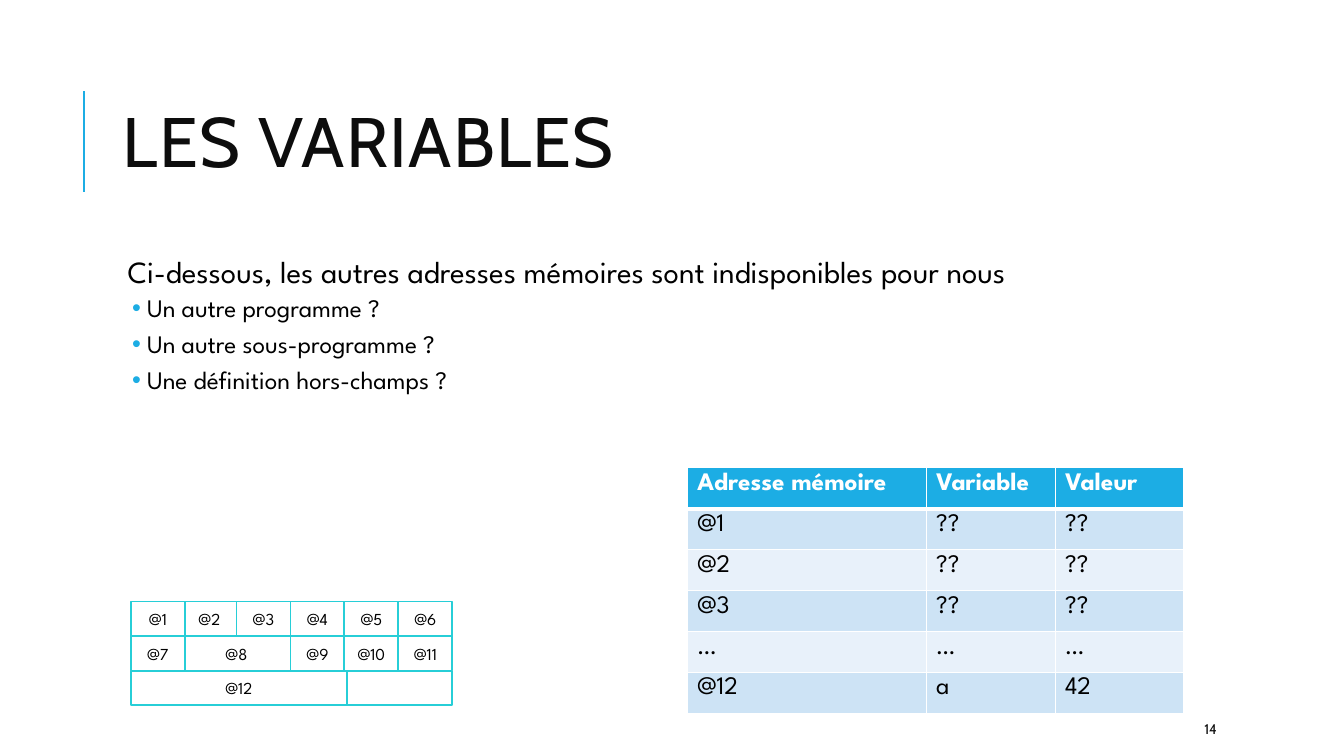
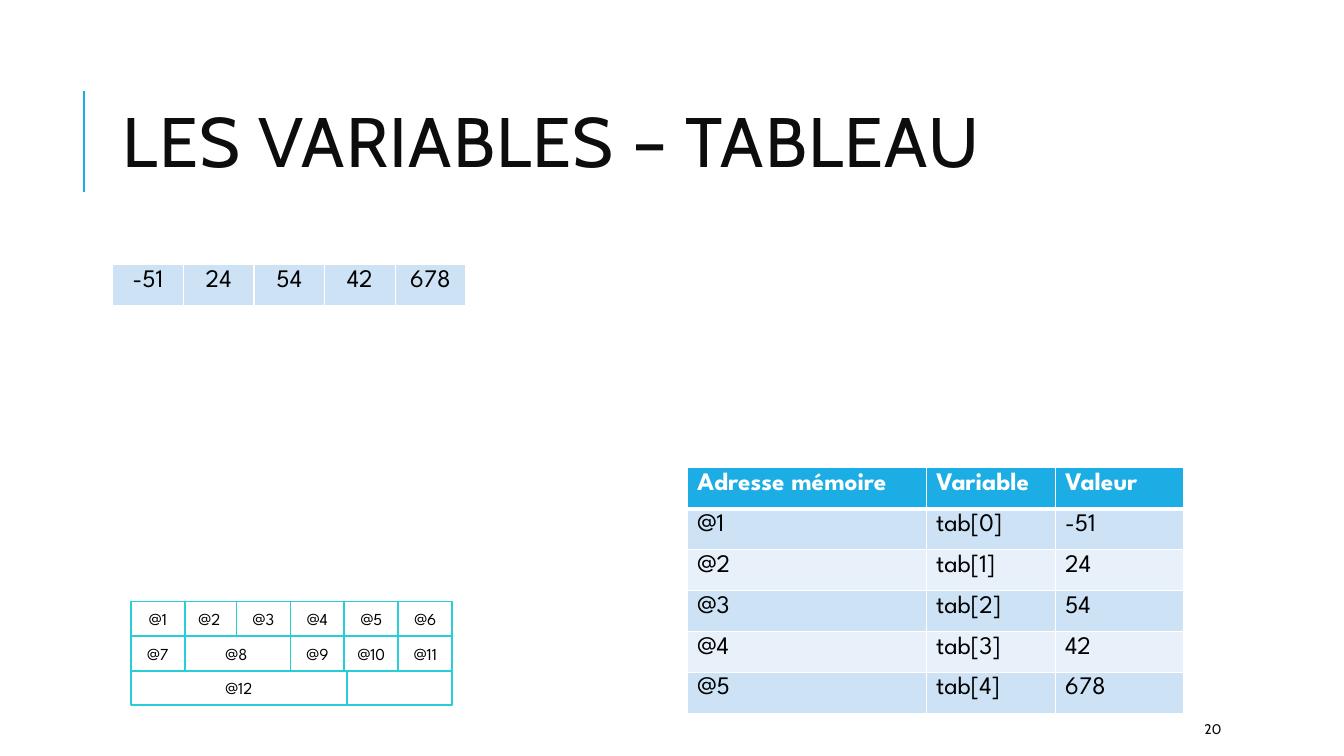
import pptx
import pptx.util
import pptx.dml.color
import pptx.enum.shapes
import pptx.enum.text
import pptx.oxml
import pptx.oxml.ns

Cm = pptx.util.Cm
Pt = pptx.util.Pt
ALIGN = pptx.enum.text.PP_ALIGN
ANCHOR = pptx.enum.text.MSO_ANCHOR

COLORS = {
    "accent": "1CADE4",
    "memory": "27CED7",
    "title": "0D0D0D",
    "text": "000000",
    "white": "FFFFFF",
    "band_dark": "CDE3F5",
    "band_light": "E8F1FA",
}
TITLE_FONT = "Cabin"
BODY_FONT = "League Spartan"

MEMORY_LEFT = 3.3
MEMORY_COLUMNS_LEFT = 3.24
MEMORY_TOP = 15.16
MEMORY_WIDTH = 1.36
MEMORY_HEIGHT = 0.87
MEMORY_ROWS = [
    [("@1", 1), ("@2", 1), ("@3", 1), ("@4", 1), ("@5", 1), ("@6", 1)],
    [("@7", 1), ("@8", 2), ("@9", 1), ("@10", 1), ("@11", 1)],
    [("@12", 4), ("", 2)],
]

ROW_HEIGHT = 1.03
ADDRESS_HEADER = ["Adresse mémoire", "Variable", "Valeur"]
ARRAY_VALUES = ["-51", "24", "54", "42", "678"]


def rgb(color):
    return pptx.dml.color.RGBColor.from_string(COLORS[color])


def add_run(paragraph, text, size, color="text", font=BODY_FONT, bold=False):
    run = paragraph.add_run()
    run.text = text
    run.font.size = Pt(size)
    run.font.name = font
    run.font.bold = bold
    run.font.color.rgb = rgb(color)
    return run


def add_xml(parent, tag, **attributes):
    child = pptx.oxml.parse_xml(f"<a:{tag} {pptx.oxml.ns.nsdecls('a')}/>")
    for name, value in attributes.items():
        child.set(name, str(value))
    parent.append(child)
    return child


def add_title(slide, text):
    title = slide.shapes.title
    title.left, title.top = Cm(2.84), Cm(1.63)
    title.width, title.height = Cm(27), Cm(4.17)
    frame = title.text_frame
    frame.auto_size = pptx.enum.text.MSO_AUTO_SIZE.NONE
    frame.vertical_anchor = ANCHOR.MIDDLE
    paragraph = frame.paragraphs[0]
    paragraph.alignment = ALIGN.LEFT
    paragraph.line_spacing = 0.8
    run = add_run(paragraph, text, 50, "title", TITLE_FONT)
    run.font._element.set("spc", "100")


def add_title_bar(slide):
    bar = slide.shapes.add_connector(
        pptx.enum.shapes.MSO_CONNECTOR.STRAIGHT, Cm(2.12), Cm(4.83), Cm(2.12), Cm(2.29))
    bar.line.color.rgb = rgb("accent")
    bar.line.width = Pt(1.5)
    add_xml(bar._element.spPr, "effectLst")


def add_text_frame(slide, left, top, width, height):
    frame = slide.shapes.add_textbox(Cm(left), Cm(top), Cm(width), Cm(height)).text_frame
    frame.word_wrap = True
    return frame


def add_page_number(slide, number):
    frame = add_text_frame(slide, 30.1, 17.98, 2.69, 0.76)
    frame.vertical_anchor = ANCHOR.MIDDLE
    add_run(frame.paragraphs[0], number, 10, "title", TITLE_FONT)


def format_paragraph(paragraph, before, after, margin, indent):
    paragraph.line_spacing = 0.9
    paragraph.space_before = Pt(before)
    paragraph.space_after = Pt(after)
    properties = paragraph._p.get_or_add_pPr()
    properties.set("marL", str(Cm(margin)))
    properties.set("indent", str(Cm(indent)))
    return properties


def add_bullet(properties):
    color = add_xml(properties, "buClr")
    add_xml(color, "srgbClr", val=COLORS["accent"])
    add_xml(properties, "buFont", typeface="Arial")
    add_xml(properties, "buChar", char="•")


def add_question_list(slide, heading, questions):
    frame = add_text_frame(slide, 2.84, 6.35, 27, 11.18)
    frame.margin_left = frame.margin_right = Cm(0.13)
    frame.margin_top = frame.margin_bottom = Cm(0.13)
    heading_paragraph = frame.paragraphs[0]
    format_paragraph(heading_paragraph, 12, 2, 0.25, 0)
    add_run(heading_paragraph, heading, 22)
    for question in questions:
        paragraph = frame.add_paragraph()
        paragraph.level = 1
        add_bullet(format_paragraph(paragraph, 2, 4, 0.74, -0.38))
        add_run(paragraph, question, 18)


def add_memory_cell(slide, row, column, label, span):
    left = MEMORY_COLUMNS_LEFT + column * MEMORY_WIDTH if column else MEMORY_LEFT
    cell = slide.shapes.add_shape(
        pptx.enum.shapes.MSO_SHAPE.RECTANGLE,
        Cm(left), Cm(MEMORY_TOP + row * MEMORY_HEIGHT),
        Cm(span * MEMORY_WIDTH), Cm(MEMORY_HEIGHT))
    cell.shadow.inherit = False
    cell.fill.solid()
    cell.fill.fore_color.rgb = rgb("white")
    cell.line.color.rgb = rgb("memory")
    cell.line.width = Pt(1.25)
    if label:
        frame = cell.text_frame
        frame.vertical_anchor = ANCHOR.MIDDLE
        frame.margin_left = frame.margin_right = 0
        frame.paragraphs[0].alignment = ALIGN.CENTER
        add_run(frame.paragraphs[0], label, 12)


def add_memory_map(slide):
    for row, blocks in enumerate(MEMORY_ROWS):
        column = sum(span for _, span in blocks)
        for label, span in reversed(blocks):
            column -= span
            add_memory_cell(slide, row, column, label, span)


def add_cell_borders(cell, top, bottom):
    properties = cell._tc.get_or_add_tcPr()
    for side, width in (("L", 1), ("R", 1), ("T", top), ("B", bottom)):
        border = add_xml(properties, f"ln{side}", w=Pt(width))
        add_xml(add_xml(border, "solidFill"), "srgbClr", val=COLORS["white"])


def add_grid(slide, left, top, widths, rows, has_header=False, alignment=ALIGN.LEFT):
    table = slide.shapes.add_table(
        len(rows), len(widths), Cm(left), Cm(top),
        Cm(sum(widths)), Cm(ROW_HEIGHT * len(rows))).table
    table.first_row = has_header
    table.horz_banding = False
    for column, width in zip(table.columns, widths):
        column.width = Cm(width)
    for index, values in enumerate(rows):
        table.rows[index].height = Cm(ROW_HEIGHT)
        is_header = has_header and index == 0
        band = "band_dark" if (index - has_header) % 2 == 0 else "band_light"
        for column, value in enumerate(values):
            cell = table.cell(index, column)
            add_cell_borders(cell, 3 if has_header and index == 1 else 1, 3 if is_header else 1)
            cell.fill.solid()
            cell.fill.fore_color.rgb = rgb("accent" if is_header else band)
            paragraph = cell.text_frame.paragraphs[0]
            paragraph.alignment = alignment
            add_run(paragraph, value, 18, "white" if is_header else "text", bold=is_header)


def add_variables_slide(presentation, title, number, addresses):
    slide = presentation.slides.add_slide(presentation.slide_layouts[5])
    add_title_bar(slide)
    add_title(slide, title)
    add_page_number(slide, number)
    add_memory_map(slide)
    add_grid(slide, 17.32, 11.79, [6.02, 3.25, 3.25], [ADDRESS_HEADER] + addresses, True)
    return slide


def main():
    presentation = pptx.Presentation()
    presentation.slide_width = Cm(33.87)
    presentation.slide_height = Cm(19.05)

    unavailable = [[address, "??", "??"] for address in ("@1", "@2", "@3")]
    variables = add_variables_slide(
        presentation, "LES VARIABLES", "14",
        unavailable + [["…"] * 3, ["@12", "a", "42"]])
    add_question_list(
        variables,
        "Ci-dessous, les autres adresses mémoires sont indisponibles pour nous",
        ["Un autre programme ?", "Un autre sous-programme ?", "Une définition hors-champs ?"])

    array = add_variables_slide(
        presentation, "LES VARIABLES – TABLEAU", "20",
        [[f"@{index + 1}", f"tab[{index}]", value] for index, value in enumerate(ARRAY_VALUES)])
    add_grid(array, 2.84, 6.66, [1.78] * 5, [ARRAY_VALUES], alignment=ALIGN.CENTER)

    presentation.save("out.pptx")


if __name__ == "__main__":
    main()
